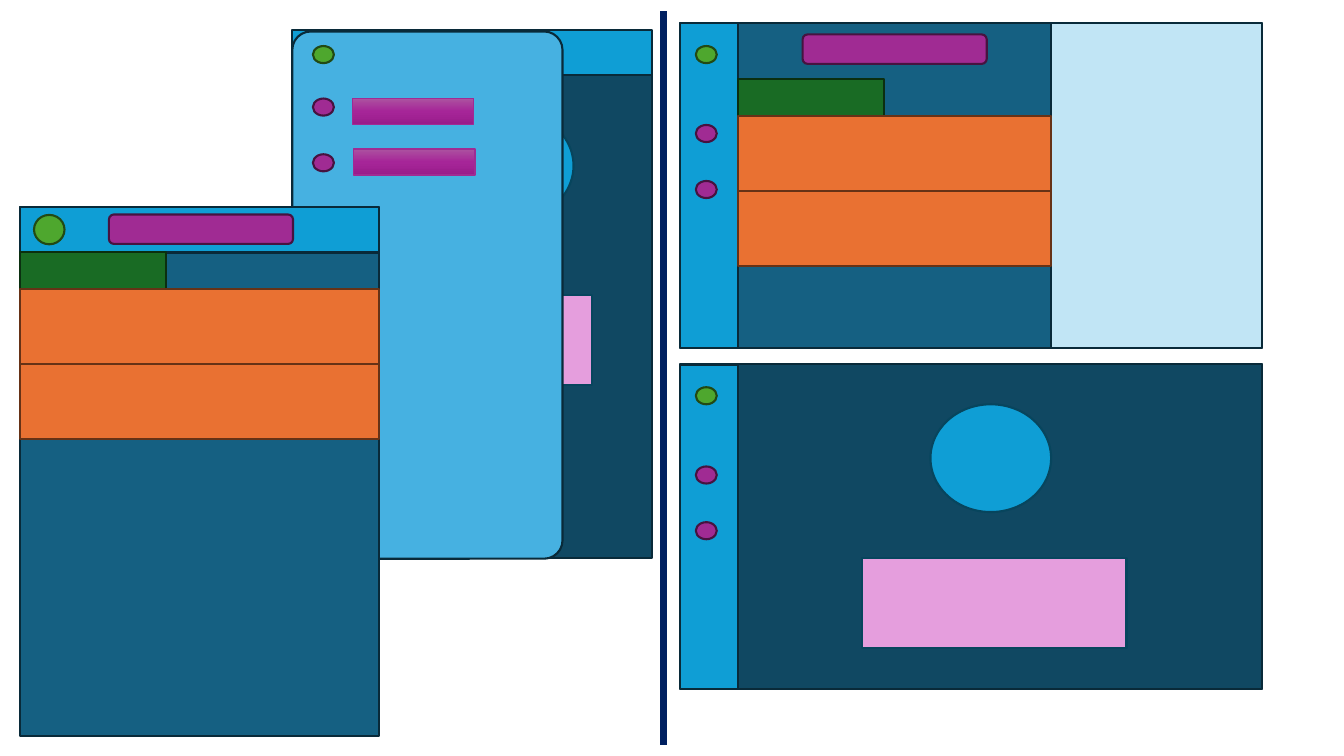
from copy import deepcopy

from lxml import etree
from pptx import Presentation
from pptx.dml.color import RGBColor
from pptx.enum.shapes import MSO_CONNECTOR, MSO_SHAPE
from pptx.oxml.ns import qn
from pptx.util import Pt

RECTANGLE = MSO_SHAPE.RECTANGLE
ROUNDED = MSO_SHAPE.ROUNDED_RECTANGLE
OVAL = MSO_SHAPE.OVAL
STRAIGHT = MSO_CONNECTOR.STRAIGHT

COLORS = {
    "teal": "156082", "dark": "104862", "edge": "092A39",
    "blue": "0F9ED5", "blue_edge": "07455D", "drawer": "46B1E1",
    "pale": "C1E5F5", "pink": "E59EDD",
    "green": "4EA72E", "green_edge": "224914",
    "purple": "A02B93", "purple_edge": "461340",
    "forest": "196B24", "forest_edge": "0B2F10",
    "orange": "E97132", "orange_edge": "663216",
    "shade_0": "AC53A0", "shade_50": "A62598", "shade_100": "991C8B",
    "navy": "002060",
}

presentation = Presentation()
presentation.slide_width = Pt(960)
presentation.slide_height = Pt(540)
slide = presentation.slides.add_slide(presentation.slide_layouts[6])


def rgb(name):
    return RGBColor.from_string(COLORS[name])


def add_block(kind, left, top, width, height, fill, line="edge", weight=1.5):
    shape = slide.shapes.add_shape(kind, Pt(left), Pt(top), Pt(width), Pt(height))
    shape.shadow.inherit = False
    shape.fill.solid()
    shape.fill.fore_color.rgb = rgb(fill)
    shape.line.color.rgb = rgb(line)
    shape.line.width = Pt(weight)
    return shape


# Phone profile screen, behind its open drawer
PHONE_WIDTH, PHONE_HEIGHT, BAR_HEIGHT = 257, 376.6, 32.4
PROFILE_LEFT, PROFILE_TOP = 208.8, 22
add_block(RECTANGLE, PROFILE_LEFT, PROFILE_TOP, PHONE_WIDTH, PHONE_HEIGHT, "dark")
add_block(RECTANGLE, 288.7, 211, 133.9, 64, "pink", "blue_edge")
add_block(OVAL, 323.3, 79.9, 86.4, 77, "blue", "blue_edge")
add_block(RECTANGLE, PROFILE_LEFT, PROFILE_TOP - 0.5, PHONE_WIDTH, BAR_HEIGHT, "blue")
drawer = add_block(ROUNDED, PROFILE_LEFT, PROFILE_TOP + 0.5, 193, PHONE_HEIGHT, "drawer")
drawer.adjustments[0] = 0.068

# Drawer menu labels with a three-step gradient
for left, top in ((251.7, 70.3), (252.6, 106.5)):
    label = add_block(RECTANGLE, left, top, 86.8, 18.5, "purple", "purple", 1)
    label.fill.gradient()
    label.fill.gradient_angle = 270
    stop_list = label.element.spPr.find(".//" + qn("a:gsLst"))
    stop_list.insert(1, deepcopy(stop_list[0]))
    for stop, percent in zip(label.fill.gradient_stops, (0, 50, 100)):
        stop.position = percent / 100
        stop.color.rgb = rgb(f"shade_{percent}")

# Phone list screen
LIST_LEFT, LIST_TOP = 14, 148
add_block(RECTANGLE, LIST_LEFT, LIST_TOP, PHONE_WIDTH, PHONE_HEIGHT + 1, "teal")
add_block(RECTANGLE, LIST_LEFT, LIST_TOP, PHONE_WIDTH, BAR_HEIGHT, "blue")
add_block(OVAL, 24.3, 153.5, 21.8, 21, "green", "green_edge")

# Desktop screens: frame and navigation rail
DESKTOP_LEFT, DESKTOP_HEIGHT, RAIL_WIDTH = 486, 232.4, 41
LIST_DESKTOP_TOP, PROFILE_DESKTOP_TOP = 16.2, 260
CONTENT_LEFT = DESKTOP_LEFT + RAIL_WIDTH
for top in (LIST_DESKTOP_TOP, PROFILE_DESKTOP_TOP):
    add_block(RECTANGLE, DESKTOP_LEFT, top, 415.6, DESKTOP_HEIGHT, "teal")
    add_block(RECTANGLE, DESKTOP_LEFT, top + 0.5, RAIL_WIDTH, DESKTOP_HEIGHT - 0.5, "blue")

# Desktop content panels
add_block(RECTANGLE, 751, LIST_DESKTOP_TOP, 150.6, DESKTOP_HEIGHT, "pale")
add_block(RECTANGLE, CONTENT_LEFT, PROFILE_DESKTOP_TOP, 374.6, DESKTOP_HEIGHT, "dark")
add_block(OVAL, 664.6, 288.8, 86.2, 77, "blue", "blue_edge")
add_block(RECTANGLE, 615.9, 398.9, 188.8, 63.8, "pink", "blue_edge")

# Search pill, tab and two list rows, on phone and desktop
for left, tab_top, width, pill_left, pill_top in (
    (LIST_LEFT, 180.2, PHONE_WIDTH, 77.8, 153.2),
    (CONTENT_LEFT, 56.5, 224, 573.3, 24.6),
):
    add_block(ROUNDED, pill_left, pill_top, 131.5, 21, "purple", "purple_edge")
    add_block(RECTANGLE, left, tab_top, 104.6, 26.3, "forest", "forest_edge")
    for row in range(2):
        add_block(RECTANGLE, left, tab_top + 26.2 + row * 53.6, width, 53.6,
                  "orange", "orange_edge")

# Navigation dots in the drawer and the rails
for left, tops in (
    (223.5, (32.9, 70.4, 110.2)),
    (497, (32.9, 89.3, 129.3)),
    (497, (276.6, 333.2, 373)),
):
    for top, color in zip(tops, ("green", "purple", "purple")):
        add_block(OVAL, left, top, 15, 12.2, color, f"{color}_edge")

# Divider between phone and desktop layouts
divider = slide.shapes.add_connector(STRAIGHT, Pt(474), Pt(8), Pt(474), Pt(532))
divider.line.color.rgb = rgb("navy")
divider.line.width = Pt(4.5)
etree.SubElement(divider.element.spPr, qn("a:effectLst"))

presentation.save("out.pptx")
